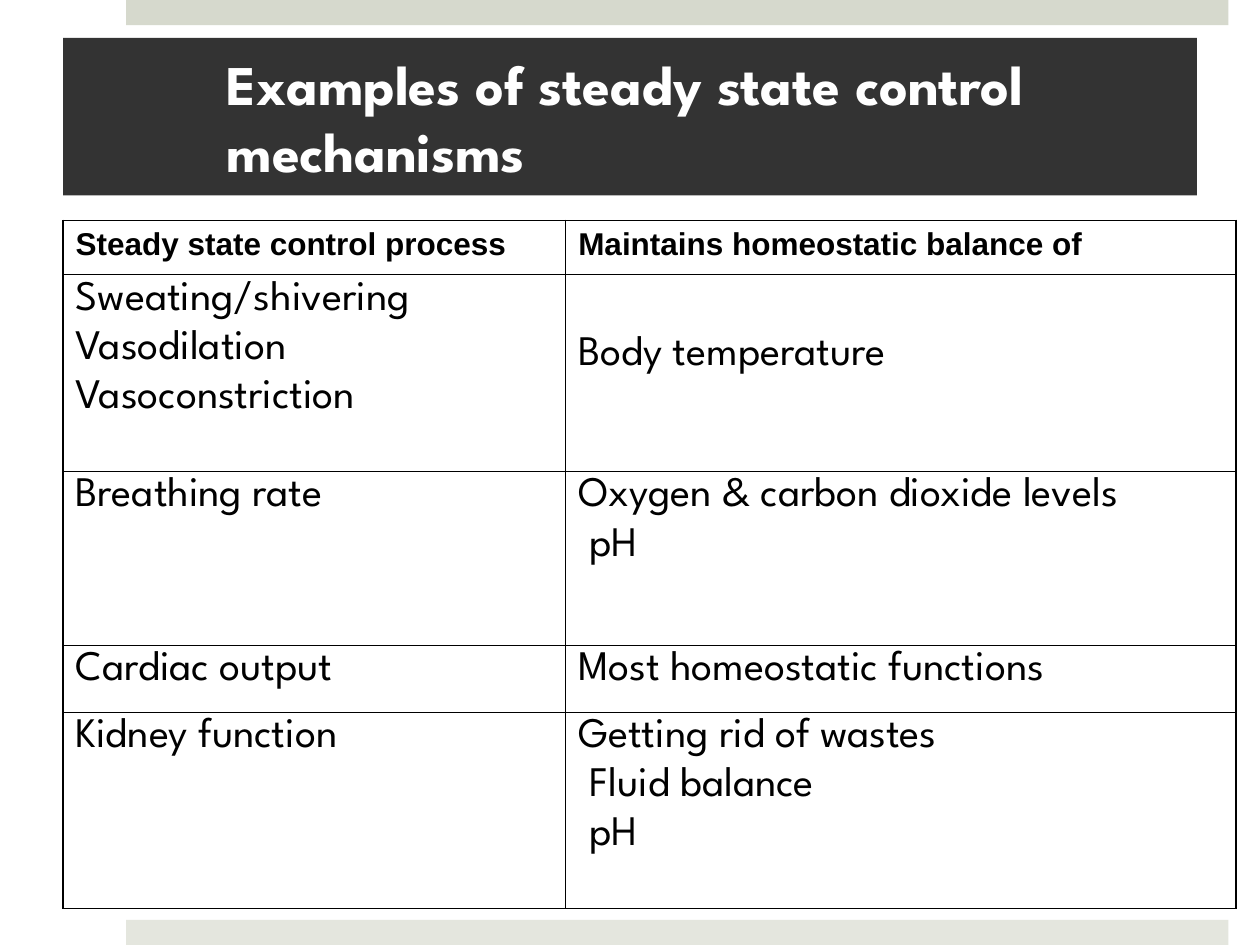
import pptx
import pptx.util
import pptx.dml.color
import pptx.enum.shapes
import pptx.enum.text
import pptx.oxml

Inch = pptx.util.Inches
Pt = pptx.util.Pt
tint = {"top": "D6D9CD", "foot": "E4E6DE", "band": "333333",
        "light": "FFFFFF", "ink": "000000"}


def style(part, values):
    for name, value in values.items():
        setattr(part, name, value)


def paint(fill, name):
    fill.solid()
    fill.fore_color.rgb = pptx.dml.color.RGBColor.from_string(tint[name])


deck = pptx.Presentation()
wide, high = Inch(10), Inch(7.5)
style(deck, {"slide_width": wide, "slide_height": high})
slide = deck.slides.add_slide(deck.slide_layouts[5])

# Strips along the top and bottom edges
strip = Inch(0.2)
for name, top in (("top", 0), ("foot", high - strip)):
    bar = slide.shapes.add_shape(pptx.enum.shapes.MSO_SHAPE.RECTANGLE,
                                 Inch(1), top, Inch(8.75), strip)
    bar.shadow.inherit = False
    paint(bar.fill, name)
    bar.line.fill.background()

# Title band
title = slide.shapes.title
style(title, {"left": Inch(0.5), "top": Inch(0.3),
              "width": Inch(9), "height": Inch(1.25)})
paint(title.fill, "band")
frame = title.text_frame
frame.text = "Examples of steady state control mechanisms"
style(frame, {"margin_left": Inch(1.3), "margin_right": Inch(0.3),
              "margin_top": Inch(0.05), "margin_bottom": Inch(0.05),
              "word_wrap": True,
              "auto_size": pptx.enum.text.MSO_AUTO_SIZE.NONE,
              "vertical_anchor": pptx.enum.text.MSO_ANCHOR.MIDDLE})
line = frame.paragraphs[0]
line.alignment = pptx.enum.text.PP_ALIGN.LEFT
style(line.font, {"name": "League Spartan", "size": Pt(32), "bold": True})
paint(line.font.fill, "light")

# Table of control processes
rows = [
    (["Steady state control process"], ["Maintains homeostatic balance of"]),
    (["Sweating/shivering", "Vasodilation", "Vasoconstriction"],
     ["Body temperature"]),
    (["Breathing rate"], ["Oxygen & carbon dioxide levels", "pH"]),
    (["Cardiac output"], ["Most homeostatic functions"]),
    (["Kidney function"], ["Getting rid of wastes", "Fluid balance", "pH"]),
]
widths = [3.99, 5.32]
heights = [0.43, 1.56, 1.38, 0.53, 1.56]
head = {"name": "Arial", "size": Pt(18), "bold": True}
body = {"name": "League Spartan", "size": Pt(24), "bold": False}
indent = Inch(0.09)

table = slide.shapes.add_table(
    len(rows), len(widths), Inch(0.5), Inch(1.75),
    Inch(sum(widths)), Inch(sum(heights))).table
style(table, {"first_row": False, "horz_banding": False})
for col, width in zip(table.columns, widths):
    col.width = Inch(width)
for row, height in zip(table.rows, heights):
    row.height = Inch(height)

for r, row in enumerate(rows):
    for c, lines in enumerate(row):
        cell = table.cell(r, c)
        props = cell._tc.get_or_add_tcPr()
        outer = {"L": c == 0, "R": c == len(widths) - 1,
                 "T": r == 0, "B": r == len(rows) - 1}
        for side, edge in outer.items():
            weight = Pt(1.08 if edge else 0.45)
            props.append(pptx.oxml.parse_xml(
                f'<a:ln{side} xmlns:a="http://schemas.openxmlformats.org/'
                f'drawingml/2006/main" w="{weight}"><a:solidFill>'
                f'<a:srgbClr val="{tint["ink"]}"/></a:solidFill></a:ln{side}>'))
        cell.fill.background()
        # Body temperature sits one line lower, beside its three processes
        drop = 0.49 if lines == ["Body temperature"] else 0.05
        style(cell, {"margin_left": Inch(0.1), "margin_right": Inch(0.1),
                     "margin_top": Inch(drop), "margin_bottom": Inch(0.05)})
        cell.text = "\n".join(lines)
        for i, line in enumerate(cell.text_frame.paragraphs):
            if i:
                line.space_before = Pt(6)
                if c:
                    line._p.get_or_add_pPr().set("marL", str(indent))
            style(line.font, body if r else head)
            paint(line.font.fill, "ink")

deck.save("out.pptx")
